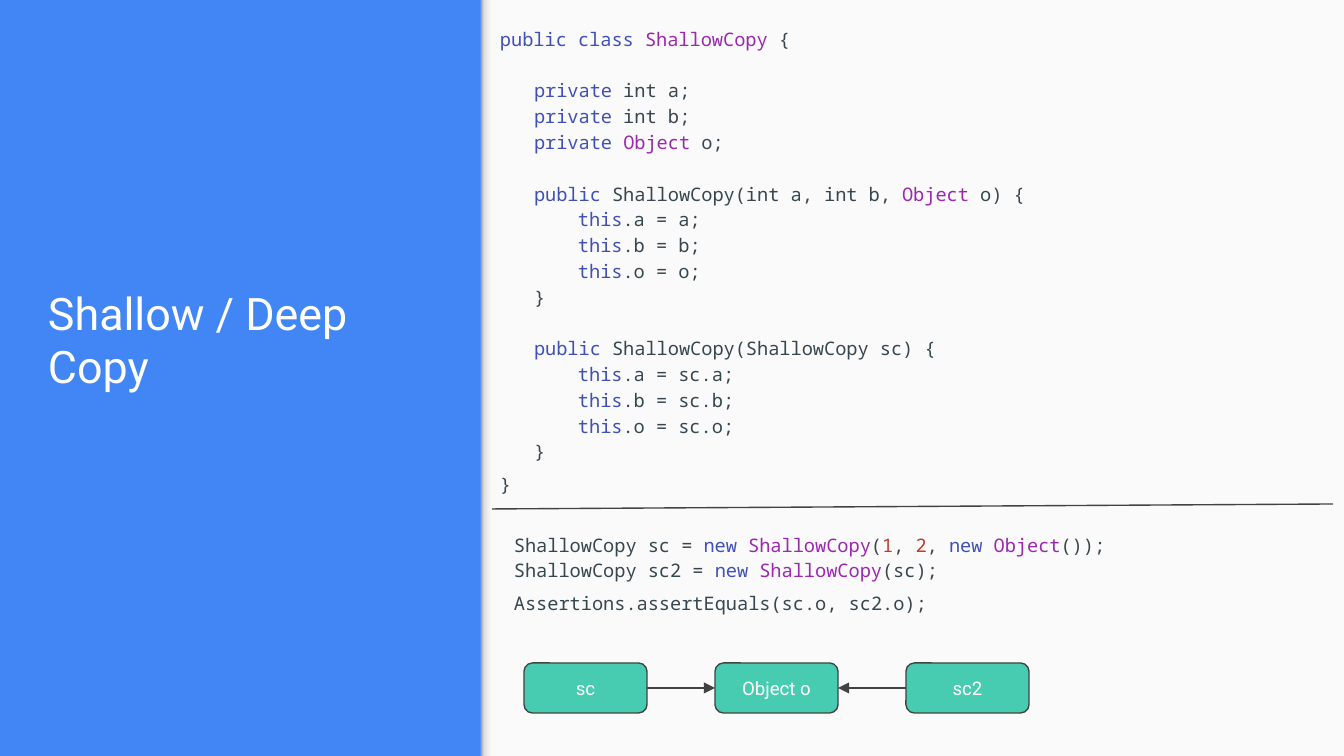
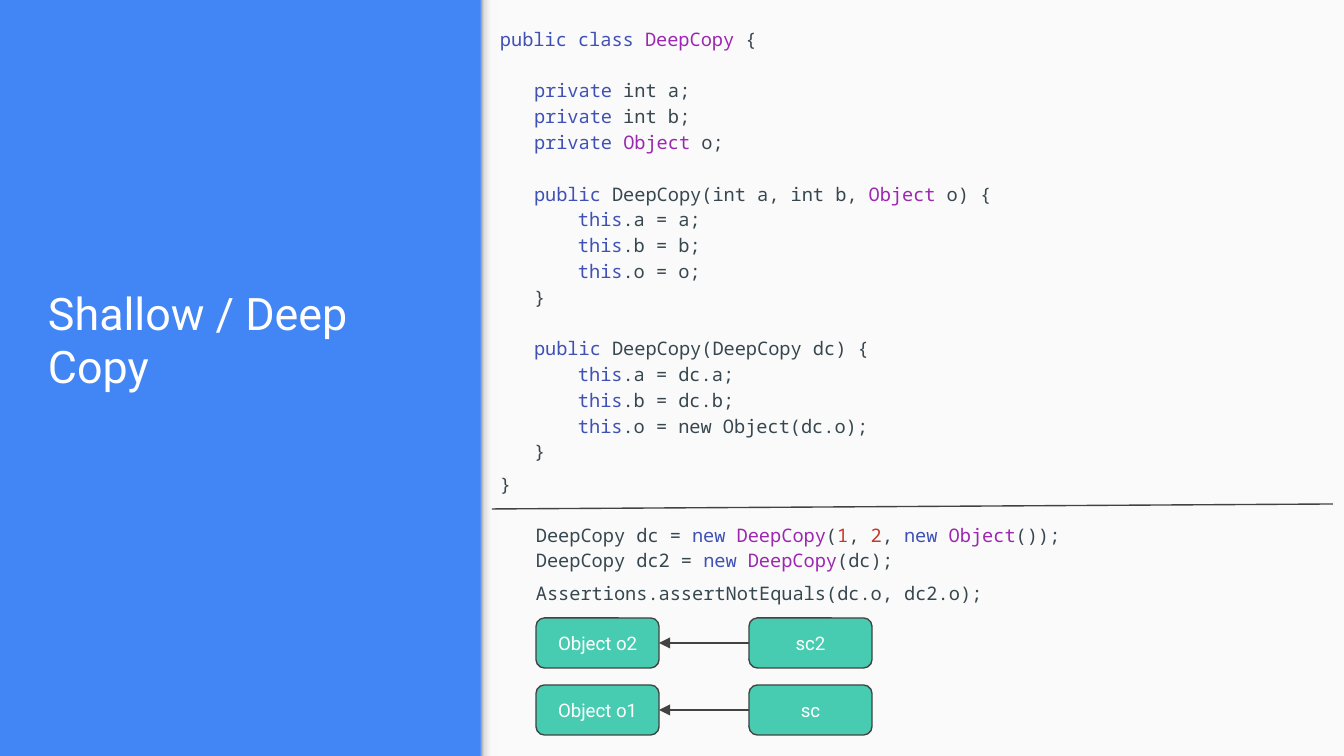
import lxml.etree
import pptx
import pptx.dml.color
import pptx.enum.shapes
import pptx.enum.text
import pptx.oxml
import pptx.oxml.ns
import pptx.util

EMU_PER_INCH = 914400
PX_PER_INCH = 134.4
SLIDE_WIDTH, SLIDE_HEIGHT = 1344, 756
PANEL_LEFT = 481
INSET = 13
NODE_WIDTH, NODE_HEIGHT = 123, 50
CODE_FONT, LABEL_FONT = "Noto Sans Mono", "Roboto"
CODE_SIZE, TITLE_SIZE = 10, 24
MEMBER_INDENT, BODY_INDENT = 34, 78
BLANK_LINE = 26
DIVIDER = (492, 509, 1333, 504)

COLORS = {
    "background": "4285F4",
    "panel": "FAFAFA",
    "white": "FFFFFF",
    "node": "47CCB1",
    "line": "424242",
    "code": "37474F",
    "keyword": "3F51B5",
    "type": "9C27B0",
    "number": "C53929",
}
EDGE_STOPS = [(0, "999999"), (20, "DEDEDE"), (64, "F9F9F9"), (100, "F9F9F9")]
MARKS = {"~": "keyword", "^": "type", "#": "number"}


def px(length):
    return pptx.util.Emu(round(length * EMU_PER_INCH / PX_PER_INCH))


def color(name):
    return pptx.dml.color.RGBColor.from_string(COLORS[name])


def style_run(run, font, size, color_name):
    run.font.name = font
    run.font.size = pptx.util.Pt(size)
    run.font.color.rgb = color(color_name)


def style_line(line):
    line.color.rgb = color("line")
    line.width = pptx.util.Pt(0.75)


def prepare_frame(frame, anchor):
    frame.word_wrap = True
    frame.auto_size = pptx.enum.text.MSO_AUTO_SIZE.NONE
    frame.vertical_anchor = anchor
    frame.margin_left = frame.margin_right = px(INSET)
    frame.margin_top = frame.margin_bottom = px(INSET)


def add_box(slide, preset, left, top, width, height, fill):
    box = slide.shapes.add_shape(preset, px(left), px(top), px(width), px(height))
    box.shadow.inherit = False
    box.fill.solid()
    box.fill.fore_color.rgb = color(fill)
    box.line.fill.background()
    return box


def set_edge_gradient(edge):
    edge.fill.gradient()
    edge.fill.gradient_angle = 0
    stops = edge.element.spPr.find(".//" + pptx.oxml.ns.qn("a:gsLst"))
    for stop in list(stops):
        stops.remove(stop)
    for position, shade in EDGE_STOPS:
        stop = lxml.etree.SubElement(stops, pptx.oxml.ns.qn("a:gs"), pos=str(position * 1000))
        lxml.etree.SubElement(stop, pptx.oxml.ns.qn("a:srgbClr"), val=shade)


def furnish_layout(layout, slide):
    rectangle = pptx.enum.shapes.MSO_SHAPE.RECTANGLE
    panel = add_box(slide, rectangle, PANEL_LEFT, 0, SLIDE_WIDTH - PANEL_LEFT, SLIDE_HEIGHT, "panel")
    edge = add_box(slide, rectangle, PANEL_LEFT, 0, 16, SLIDE_HEIGHT, "panel")
    set_edge_gradient(edge)
    for order, part in enumerate((panel, edge)):
        part.element.nvSpPr.cNvPr.set("id", str(20 + order))
        layout.shapes.element.insert(2 + order, part.element)


def set_title(slide, wording):
    title = slide.shapes.title
    title.left, title.top, title.width, title.height = px(35), px(231), px(427), px(175)
    prepare_frame(title.text_frame, pptx.enum.text.MSO_ANCHOR.BOTTOM)
    title.text_frame.text = wording
    paragraph = title.text_frame.paragraphs[0]
    paragraph.alignment = pptx.enum.text.PP_ALIGN.LEFT
    style_run(paragraph.runs[0], LABEL_FONT, TITLE_SIZE, "white")


def add_code(slide, left, top, width, height, lines):
    code = slide.shapes.add_textbox(px(left), px(top), px(width), px(height))
    frame = code.text_frame
    prepare_frame(frame, pptx.enum.text.MSO_ANCHOR.TOP)
    for number, (indent, gap, marked) in enumerate(lines):
        paragraph = frame.add_paragraph() if number else frame.paragraphs[0]
        paragraph.line_spacing = 1.46 if number == len(lines) - 1 else 1.15
        paragraph.space_before = px(gap)
        paragraph._p.get_or_add_pPr().set("marL", str(px(indent)))
        for piece in marked.split("|"):
            run = paragraph.add_run()
            run.text = piece.lstrip("~^#")
            style_run(run, CODE_FONT, CODE_SIZE, MARKS.get(piece[0], "code"))


def class_lines(name, source, copied_object):
    def method(signature, values):
        return [
            (MEMBER_INDENT, BLANK_LINE, f"~public| {name}({signature}) {{"),
            *[(BODY_INDENT, 0, f"~this|.{field} = {value};") for field, value in zip("abo", values)],
            (MEMBER_INDENT, 0, "}"),
        ]

    return [
        (0, 0, f"~public class |^{name}| {{"),
        (MEMBER_INDENT, BLANK_LINE, "~private| int a;"),
        (MEMBER_INDENT, 0, "~private| int b;"),
        (MEMBER_INDENT, 0, "~private |^Object| o;"),
        *method("int a, int b, |^Object| o", "abo"),
        *method(f"{name} {source}", (f"{source}.a", f"{source}.b", copied_object)),
        (0, 0, "}"),
    ]


def usage_lines(name, source, assertion):
    return [
        (0, 0, f"{name} {source} = |~new |^{name}|(|#1|, |#2|, |~new |^Object|());"),
        (0, 0, f"{name} {source}2 = |~new |^{name}|({source});"),
        (0, 0, f"Assertions.{assertion}({source}.o, {source}2.o);"),
    ]


def add_line(slide, start_x, start_y, end_x, end_y):
    line = slide.shapes.add_connector(
        pptx.enum.shapes.MSO_CONNECTOR.STRAIGHT, px(start_x), px(start_y), px(end_x), px(end_y)
    )
    style_line(line.line)
    lxml.etree.SubElement(line.element.spPr, pptx.oxml.ns.qn("a:effectLst"))
    return line


def add_node(slide, left, top, label):
    rounded = pptx.enum.shapes.MSO_SHAPE.ROUNDED_RECTANGLE
    node = add_box(slide, rounded, left, top, NODE_WIDTH, NODE_HEIGHT, "node")
    style_line(node.line)
    prepare_frame(node.text_frame, pptx.enum.text.MSO_ANCHOR.MIDDLE)
    node.text_frame.text = label
    paragraph = node.text_frame.paragraphs[0]
    paragraph.alignment = pptx.enum.text.PP_ALIGN.CENTER
    style_run(paragraph.runs[0], LABEL_FONT, CODE_SIZE, "white")
    return node


def add_reference(slide, holder, target):
    rightward = holder.left < target.left
    reference = add_line(slide, 0, 0, 0, 0)
    reference.begin_connect(holder, 3 if rightward else 1)
    reference.end_connect(target, 1 if rightward else 3)
    outline = reference.line._get_or_add_ln()
    lxml.etree.SubElement(outline, pptx.oxml.ns.qn("a:tailEnd"), type="triangle")


def fill_code_slide(slide, name, source, copied_object, assertion, usage_left, usage_top):
    set_title(slide, "Shallow / Deep Copy")
    add_code(slide, 487, 11, 570, 477, class_lines(name, source, copied_object))
    add_line(slide, *DIVIDER)
    add_code(slide, usage_left, usage_top, 745, 126, usage_lines(name, source, assertion))


def main():
    deck = pptx.Presentation()
    deck.slide_width, deck.slide_height = px(SLIDE_WIDTH), px(SLIDE_HEIGHT)
    backdrop = deck.slide_master.background.fill
    backdrop.solid()
    backdrop.fore_color.rgb = color("background")
    layout = deck.slide_layouts[5]

    shallow = deck.slides.add_slide(layout)
    furnish_layout(layout, shallow)
    fill_code_slide(shallow, "ShallowCopy", "sc", "sc.o", "assertEquals", 501, 517)
    first, shared, second = [
        add_node(shallow, 524 + 191 * column, 663, label)
        for column, label in enumerate(("sc", "Object o", "sc2"))
    ]
    add_reference(shallow, first, shared)
    add_reference(shallow, second, shared)

    deep = deck.slides.add_slide(layout)
    fill_code_slide(deep, "DeepCopy", "dc", "new Object(dc.o)", "assertNotEquals", 523, 507)
    for row, (owned, holder) in enumerate((("Object o2", "sc2"), ("Object o1", "sc"))):
        top = 618 + 67 * row
        target = add_node(deep, 536, top, owned)
        add_reference(deep, add_node(deep, 749, top, holder), target)

    deck.save("out.pptx")


if __name__ == "__main__":
    main()
